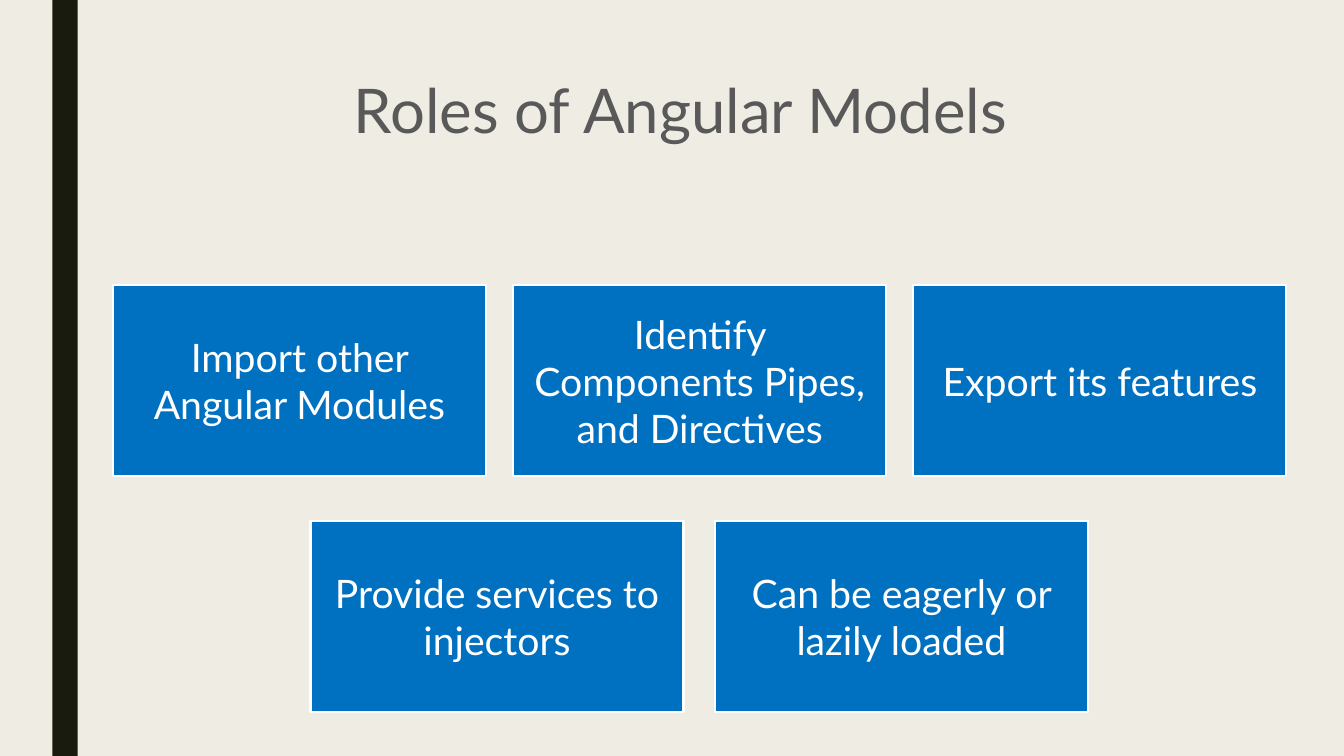
from pptx import Presentation
from pptx import util as u
from pptx.dml.color import RGBColor
from pptx.enum import shapes, text

CREAM = RGBColor(0xEF, 0xED, 0xE3)
DARK = RGBColor(0x19, 0x1B, 0x0E)
GREY = RGBColor(0x59, 0x59, 0x59)
BLUE = RGBColor(0x00, 0x70, 0xC0)
WHITE = RGBColor(0xFF, 0xFF, 0xFF)

ROLE_WIDTH, ROLE_HEIGHT = 3.7, 1.89
# left of first box, top, distance between lefts, labels
ROLE_ROWS = [
    (1.12, 2.83, 3.97, ["Import other Angular Modules",
                        "Identify Components Pipes, and Directives",
                        "Export its features"]),
    (3.08, 5.17, 4.01, ["Provide services to injectors",
                        "Can be eagerly or lazily loaded"]),
]


def write(shape, words, size, color, anchor, spacing=1.0):
    frame = shape.text_frame
    frame.word_wrap = True
    frame.auto_size = text.MSO_AUTO_SIZE.NONE
    frame.vertical_anchor = anchor
    para = frame.paragraphs[0]
    para.alignment = text.PP_ALIGN.CENTER
    para.line_spacing = spacing
    para.space_before = u.Pt(0)
    span = para.add_run()
    span.text = words
    span.font.name = "Lato"
    span.font.size = u.Pt(size)
    span.font.color.rgb = color


def add_box(left, top, width, height, fill):
    box = page.shapes.add_shape(
        shapes.MSO_SHAPE.RECTANGLE,
        u.Inches(left), u.Inches(top), u.Inches(width), u.Inches(height))
    box.shadow.inherit = False
    box.fill.solid()
    box.fill.fore_color.rgb = fill
    box.line.fill.background()
    return box


deck = Presentation()
deck.slide_width, deck.slide_height = u.Inches(13.33), u.Inches(7.5)
page = deck.slides.add_slide(deck.slide_layouts[5])
page.background.fill.solid()
page.background.fill.fore_color.rgb = CREAM

add_box(0.52, 0, 0.25, 7.5, DARK)

title = page.shapes.title
title.left, title.top = u.Inches(1.5), u.Inches(0.75)
title.width, title.height = u.Inches(10.5), u.Inches(1.62)
write(title, "Roles of Angular Models", 44, GREY, text.MSO_ANCHOR.TOP, spacing=0.89)

for first_left, top, pitch, roles in ROLE_ROWS:
    for column, role in enumerate(roles):
        box = add_box(first_left + column * pitch, top, ROLE_WIDTH, ROLE_HEIGHT, BLUE)
        box.line.color.rgb = WHITE
        box.line.width = u.Pt(1.5)
        write(box, role, 28, WHITE, text.MSO_ANCHOR.MIDDLE)

deck.save("out.pptx")
